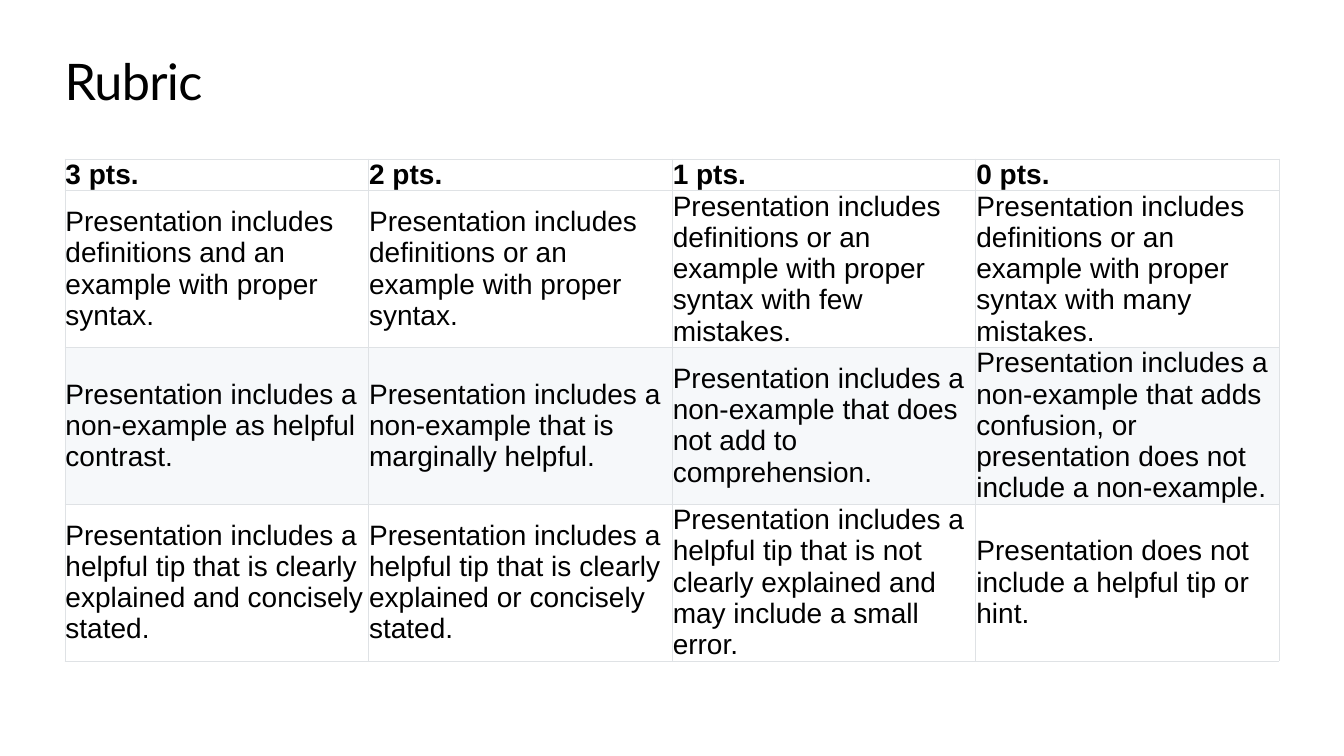
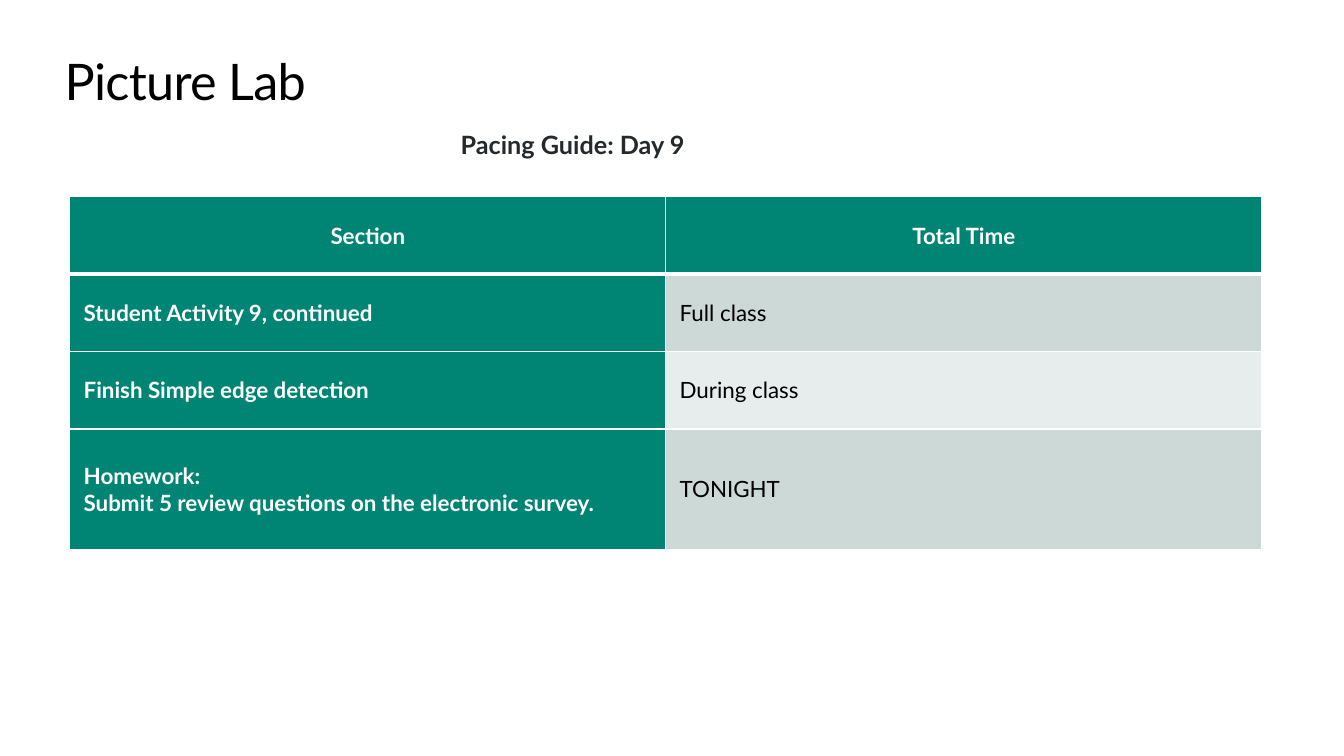
from lxml import etree
from pptx import Presentation
from pptx.dml.color import RGBColor
from pptx.enum.text import MSO_ANCHOR, MSO_AUTO_SIZE, PP_ALIGN
from pptx.oxml.ns import qn
from pptx.util import Cm, Pt

LEFT, CENTER = PP_ALIGN.LEFT, PP_ALIGN.CENTER
TOP, MIDDLE = MSO_ANCHOR.TOP, MSO_ANCHOR.MIDDLE
NO_AUTOFIT = MSO_AUTO_SIZE.NONE
COLORS = {
    "black": "000000",
    "white": "FFFFFF",
    "ink": "24292E",
    "rule": "DFE2E5",
    "stripe": "F6F8FA",
    "teal": "008575",
    "sage": "CCD9D6",
    "mist": "E7EDEC",
}


def write(frame, text, font_name, size, color, bold=False, align=LEFT):
    frame.text = text
    paragraph = frame.paragraphs[0]
    paragraph.alignment = align
    font = paragraph.font
    font.name, font.size, font.bold = font_name, Pt(size), bold
    font.color.rgb = RGBColor.from_string(COLORS[color])
    return paragraph


def style_cell(cell, fill, border, widths, margin_x, margin_y):
    cell.vertical_anchor = MIDDLE
    cell.margin_left = cell.margin_right = Cm(margin_x)
    cell.margin_top = cell.margin_bottom = Cm(margin_y)
    properties = cell._tc.get_or_add_tcPr()
    for side, width in zip("LRTB", widths):
        line = etree.SubElement(properties, qn(f"a:ln{side}"), w=str(Pt(width)))
        solid = etree.SubElement(line, qn("a:solidFill"))
        etree.SubElement(solid, qn("a:srgbClr"), val=COLORS[border])
    if fill:
        cell.fill.solid()
        cell.fill.fore_color.rgb = RGBColor.from_string(COLORS[fill])
    else:
        cell.fill.background()


prs = Presentation()
prs.slide_width, prs.slide_height = Cm(33.87), Cm(19.05)
title_only = prs.slide_layouts[5]

slides = []
for heading in ["Rubric", "Picture Lab"]:
    slide = prs.slides.add_slide(title_only)
    title = slide.shapes.title
    title.left, title.top, title.width, title.height = Cm(1.63), Cm(1.27), Cm(30.61), Cm(1.55)
    frame = title.text_frame
    frame.margin_left = frame.margin_right = frame.margin_top = frame.margin_bottom = 0
    frame.vertical_anchor = TOP
    frame.auto_size = NO_AUTOFIT
    paragraph = write(frame, heading, "Lato", 36, "black")
    paragraph._p.get_or_add_pPr().get_or_add_defRPr().set("spc", "-50")
    slides.append(slide)
rubric_slide, lab_slide = slides

rubric_rows = [
    ["3 pts.", "2 pts.", "1 pts.", "0 pts."],
    [
        "Presentation includes definitions and an example with proper syntax.",
        "Presentation includes definitions or an example with proper syntax.",
        "Presentation includes definitions or an example with proper syntax with few mistakes.",
        "Presentation includes definitions or an example with proper syntax with many mistakes.",
    ],
    [
        "Presentation includes a non-example as helpful contrast.",
        "Presentation includes a non-example that is marginally helpful.",
        "Presentation includes a non-example that does not add to comprehension.",
        "Presentation includes a non-example that adds confusion, or presentation does not "
        "include a non-example.",
    ],
    [
        "Presentation includes a helpful tip that is clearly explained and concisely stated.",
        "Presentation includes a helpful tip that is clearly explained or concisely stated.",
        "Presentation includes a helpful tip that is not clearly explained and may include "
        "a small error.",
        "Presentation does not include a helpful tip or hint.",
    ],
]
rubric = rubric_slide.shapes.add_table(4, 4, Cm(1.63), Cm(4), Cm(30.61), Cm(12.65)).table
rubric.first_row = rubric.horz_banding = False
for r, texts in enumerate(rubric_rows):
    rubric.rows[r].height = Cm(3.95 if r else 0.8)
    for c, text in enumerate(texts):
        cell = rubric.cell(r, c)
        style_cell(cell, "stripe" if r == 2 else None, "rule", [0.3] * 4, 0.02, 0)
        write(cell.text_frame, text, "Arial", 20, "black", bold=r == 0)

pacing_rows = [
    ("Section", "Total Time", "teal", 1.95),
    ("Student Activity 9, continued", "Full class", "sage", 1.95),
    ("Finish Simple edge detection", "During class", "mist", 1.95),
    ("Homework:\vSubmit 5 review questions on the electronic survey.", "TONIGHT", "sage", 3.03),
]
pacing = lab_slide.shapes.add_table(4, 2, Cm(1.76), Cm(4.96), Cm(30.04), Cm(8.88)).table
pacing.first_row = pacing.horz_banding = False
for r, (section, time, time_fill, height) in enumerate(pacing_rows):
    pacing.rows[r].height = Cm(height)
    widths = [1, 1, 3 if r == 1 else 1, 3 if r == 0 else 1]
    for c, (text, fill) in enumerate([(section, "teal"), (time, time_fill)]):
        cell = pacing.cell(r, c)
        style_cell(cell, fill, "white", widths, 0.35, 0.16)
        on_teal = fill == "teal"
        write(cell.text_frame, text, "Lato", 16, "white" if on_teal else "black",
              bold=on_teal, align=LEFT if r else CENTER)

guide = lab_slide.shapes.add_textbox(Cm(11.61), Cm(3.25), Cm(7.62), Cm(1.52)).text_frame
guide.word_wrap = True
guide.margin_left = guide.margin_right = guide.margin_top = guide.margin_bottom = 0
write(guide, "Pacing Guide: Day 9", "Lato", 18, "ink", bold=True)

prs.save("out.pptx")
